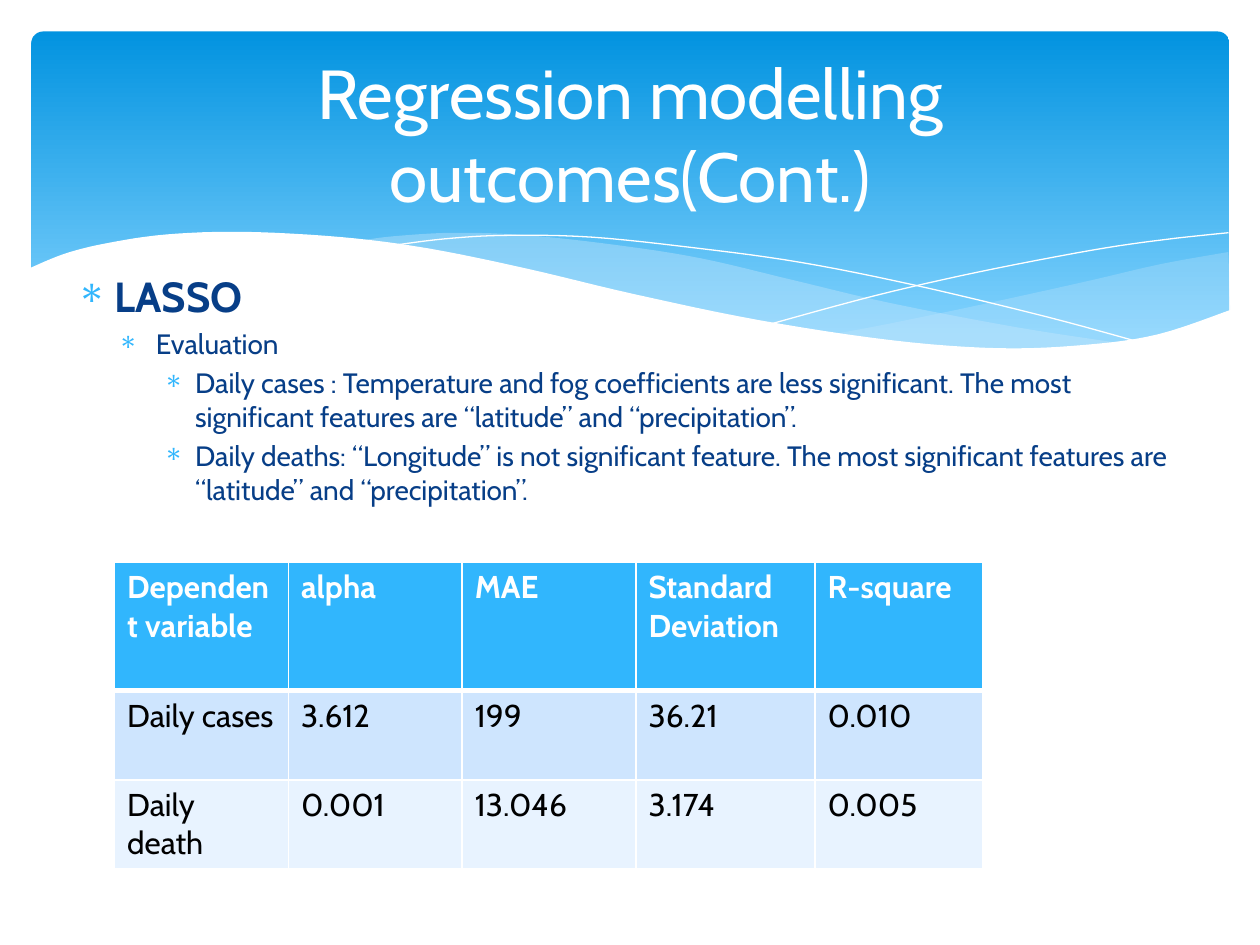
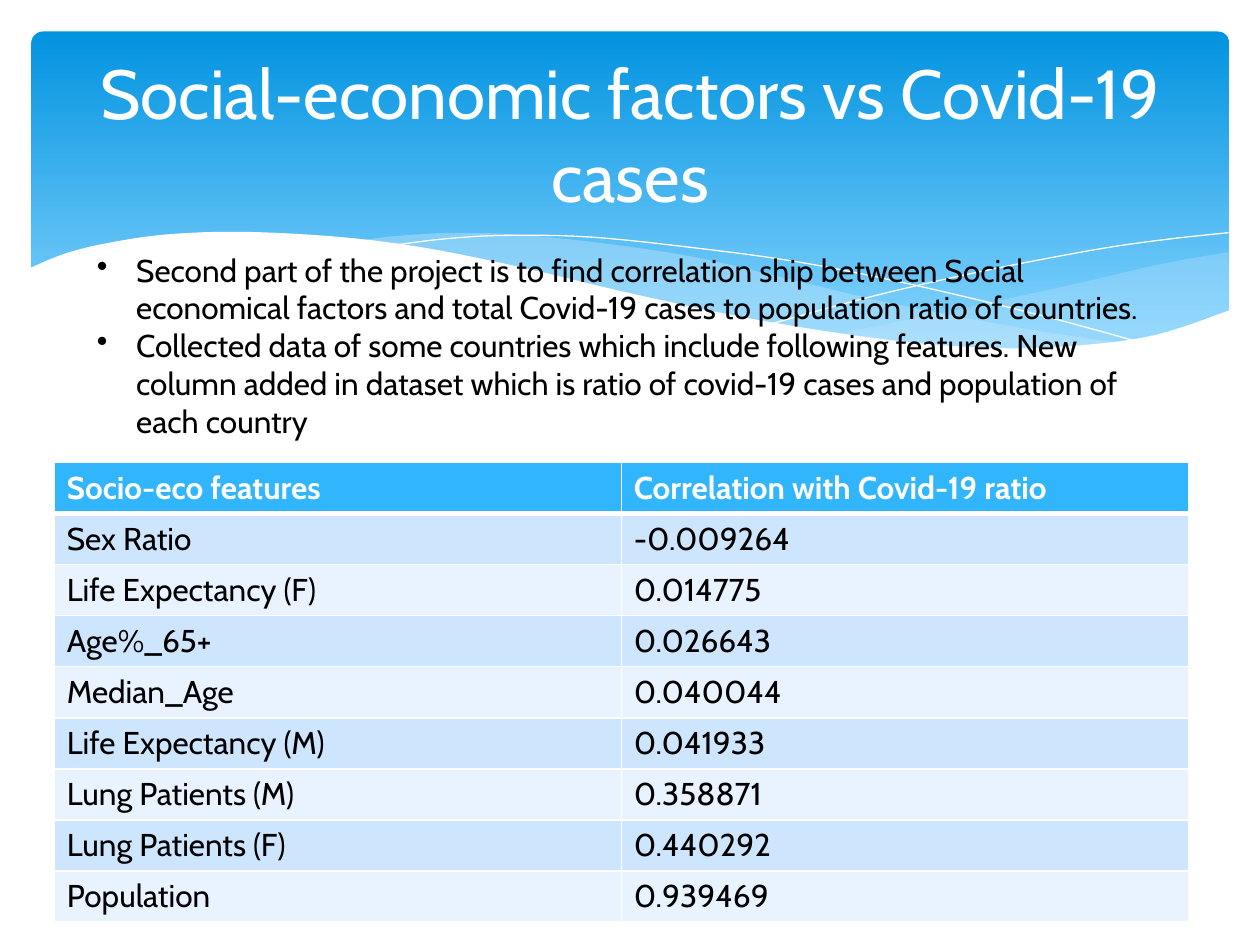
import dataclasses

import pptx
import pptx.dml.color
import pptx.enum.shapes
import pptx.enum.text
import pptx.oxml.ns
import pptx.util
from lxml import etree

Pt = pptx.util.Pt
qn = pptx.oxml.ns.qn


@dataclasses.dataclass(frozen=True)
class Theme:
    font: str = "Cabin"
    white: str = "FFFFFF"
    black: str = "000000"
    navy: str = "073E87"
    accent: str = "31B6FD"
    band_top: str = "0293E0"
    band_bottom: str = "83D3FE"
    wave: str = "C6E7FC"
    rows: tuple = ("CEE5FE", "E8F3FF")
    title_size: float = 39.6
    heading_size: float = 24
    detail_size: float = 16
    text_size: float = 18


THEME = Theme()

# Content: outline rows are (text, size, bold, indent, hanging)
LASSO_TITLE = "Regression modelling outcomes(Cont.)"
LASSO_OUTLINE = [
    ("LASSO", THEME.heading_size, True, 21.6, 21.6),
    ("Evaluation", THEME.detail_size, False, 45.36, 21.6),
    ("Daily cases : Temperature and fog coefficients are less significant. The most "
     "significant features are “latitude” and “precipitation”.",
     THEME.detail_size, False, 67.68, 18),
    ("Daily deaths: “Longitude” is not significant feature. The most significant "
     "features are “latitude” and “precipitation”.",
     THEME.detail_size, False, 67.68, 18),
]
LASSO_SCORES = [
    ("Dependent variable", "alpha", "MAE", "Standard Deviation", "R-square"),
    ("Daily cases", "3.612", "199", "36.21", "0.010"),
    ("Daily death", "0.001", "13.046", "3.174", "0.005"),
]
FACTORS_TITLE = "Social-economic factors vs Covid-19 cases"
FACTORS_OUTLINE = [
    (text, THEME.text_size, False, 22.5, 22.5) for text in (
        "Second part of the project is to find correlation ship between Social economical "
        "factors and total Covid-19 cases to population ratio of countries.",
        "Collected data of some countries which include following features. New column added "
        "in dataset which is ratio of covid-19 cases and population of each country")
]
CORRELATIONS = [
    ("Socio-eco features", "Correlation with Covid-19 ratio"),
    ("Sex Ratio", "-0.009264"),
    ("Life Expectancy (F)", "0.014775"),
    ("Age%_65+", "0.026643"),
    ("Median_Age", "0.040044"),
    ("Life Expectancy (M)", "0.041933"),
    ("Lung Patients (M)", "0.358871"),
    ("Lung Patients (F)", "0.440292"),
    ("Population", "0.939469"),
]

# Wave outlines: each curve is a list of knots in points
RIGHT_WAVE = [
    [(702, 144), (663, 151), (620, 161), (561, 174), (508, 185), (476, 191)],
    [(476, 191), (527, 197), (578, 200), (628, 198), (673, 189), (703, 178)],
]
MIDDLE_WAVE = [
    [(643, 196.5), (581, 187), (508, 173), (453, 160), (400, 147.5), (352, 140),
     (302, 134.5), (260, 133), (225, 135), (206, 137.5)],
    [(206, 137.5), (261, 146), (323, 160), (382, 173), (445, 186), (500, 194),
     (556, 199.5), (596, 200), (643, 196.5)],
]
FALLING_LINE = [
    [(222.5, 140.5), (254, 136.5), (288.5, 134.5), (338, 135.5), (400, 142),
     (458, 150), (523, 163), (598, 181), (653, 196)],
]
RISING_LINE = [
    [(441, 185), (500, 169), (559, 155.5), (624, 143), (665, 137), (702, 133)],
]
FRONT_WAVE = [
    [(703.5, 177), (662, 191), (621, 197), (571, 199), (510, 194.5), (434, 183),
     (362, 168), (301, 153.5), (245, 142), (195, 135.5), (139, 132.5), (95, 134),
     (61, 139), (37, 145), (16.5, 153.5)],
    [(16.5, 237), (703.5, 237)],
]


def rgb(color):
    return pptx.dml.color.RGBColor.from_string(color)


def smooth(knots, steps=6):
    """Points of a Catmull-Rom curve through the knots."""
    if len(knots) == 2:
        return knots
    padded = [knots[0], *knots, knots[-1]]
    points = []
    for a, b, c, d in zip(padded, padded[1:], padded[2:], padded[3:]):
        for step in range(steps):
            t = step / steps
            points.append(tuple(
                q + t / 2 * (r - p + t * (2 * p - 5 * q + 4 * r - s
                                          + t * (3 * (q - r) + s - p)))
                for p, q, r, s in zip(a, b, c, d)))
    return points + [knots[-1]]


def add_wave(page, curves, fill=None, alpha=100):
    """A filled, closed outline, or an open white hairline when there is no fill."""
    points = [(Pt(x), Pt(y)) for curve in curves for x, y in smooth(curve)]
    builder = page.shapes.build_freeform(*points[0])
    builder.add_line_segments(points[1:], close=fill is not None)
    wave = builder.convert_to_shape()
    wave.shadow.inherit = False
    if fill is None:
        wave.fill.background()
        wave.line.color.rgb = rgb(THEME.white)
        wave.line.width = Pt(0)
        return
    wave.line.fill.background()
    wave.fill.solid()
    wave.fill.fore_color.rgb = rgb(fill)
    if alpha < 100:
        color = wave._element.spPr.find(qn("a:solidFill")).find(qn("a:srgbClr"))
        etree.SubElement(color, qn("a:alpha"), val=str(alpha * 1000))


def add_header(page):
    band = page.shapes.add_shape(pptx.enum.shapes.MSO_SHAPE.ROUNDED_RECTANGLE,
                                 Pt(18), Pt(18), Pt(684.5), Pt(194.5))
    band.adjustments[0] = 0.034
    band.shadow.inherit = False
    band.line.fill.background()
    band.fill.gradient()
    band.fill.gradient_angle = 270
    for stop, position, color in zip(band.fill.gradient_stops, (0, 0.9),
                                     (THEME.band_top, THEME.band_bottom)):
        stop.position = position
        stop.color.rgb = rgb(color)
    add_wave(page, RIGHT_WAVE, THEME.wave, 29)
    add_wave(page, MIDDLE_WAVE, THEME.wave, 40)
    add_wave(page, FALLING_LINE)
    add_wave(page, RISING_LINE)
    add_wave(page, FRONT_WAVE, THEME.white)


def style_runs(para, size, color, bold=False):
    for span in para.runs:
        span.font.name = THEME.font
        span.font.size = Pt(size)
        span.font.bold = bold
        span.font.color.rgb = rgb(color)


def add_box(page, left, top, width, height):
    box = page.shapes.add_textbox(Pt(left), Pt(top), Pt(width), Pt(height))
    box.text_frame.word_wrap = True
    return box.text_frame


def add_title(page, title):
    frame = add_box(page, 36, 26.64, 648, 98.64)
    frame.vertical_anchor = pptx.enum.text.MSO_ANCHOR.MIDDLE
    frame.text = title
    para = frame.paragraphs[0]
    para.alignment = pptx.enum.text.PP_ALIGN.CENTER
    style_runs(para, THEME.title_size, THEME.white)


def add_outline(page, place, outline, bullet, color, bullet_color, spacing=0):
    """Bulleted paragraphs; spacing is the gap above each as a share of its size."""
    frame = add_box(page, *place)
    frame.text = "\n".join(entry[0] for entry in outline)
    for para, (_, size, bold, indent, hanging) in zip(frame.paragraphs, outline):
        style_runs(para, size, color, bold)
        para.space_before = Pt(size * spacing)
        properties = para._p.get_or_add_pPr()
        properties.set("marL", str(Pt(indent)))
        properties.set("indent", str(-Pt(hanging)))
        tint = etree.SubElement(properties, qn("a:buClr"))
        etree.SubElement(tint, qn("a:srgbClr"), val=bullet_color)
        etree.SubElement(properties, qn("a:buChar"), char=bullet)


def set_borders(cell, bottom):
    properties = cell._tc.get_or_add_tcPr()
    sides = (("a:lnL", 1), ("a:lnR", 1), ("a:lnT", 1), ("a:lnB", bottom))
    for index, (side, width) in enumerate(sides):
        border = etree.Element(qn(side), w=str(Pt(width)))
        fill = etree.SubElement(border, qn("a:solidFill"))
        etree.SubElement(fill, qn("a:srgbClr"), val=THEME.white)
        properties.insert(index, border)


def add_grid(page, left, top, widths, heights, rows):
    grid = page.shapes.add_table(len(rows), len(widths), Pt(left), Pt(top),
                                 Pt(sum(widths)), Pt(sum(heights))).table
    for column, width in zip(grid.columns, widths):
        column.width = Pt(width)
    for number, (row, height) in enumerate(zip(rows, heights)):
        grid.rows[number].height = Pt(height)
        header = number == 0
        for position, text in enumerate(row):
            cell = grid.cell(number, position)
            cell.text_frame.text = text
            style_runs(cell.text_frame.paragraphs[0], THEME.text_size,
                       THEME.white if header else THEME.black, header)
            cell.fill.solid()
            cell.fill.fore_color.rgb = rgb(
                THEME.accent if header else THEME.rows[(number - 1) % 2])
            set_borders(cell, 3 if header else 1)


def add_page(deck):
    page = deck.slides.add_slide(deck.slide_layouts[6])
    add_header(page)
    return page


def main():
    deck = pptx.Presentation()
    deck.slide_width, deck.slide_height = Pt(720), Pt(540)

    lasso = add_page(deck)
    add_outline(lasso, (36.72, 151.2, 640.8, 357.12), LASSO_OUTLINE, "∗",
                THEME.navy, THEME.accent, spacing=0.2)
    add_title(lasso, LASSO_TITLE)
    add_grid(lasso, 65.5, 321.1, [99.3, 99.3, 99.3, 102.4, 95.6],
             [73.4, 51.1, 51.1], LASSO_SCORES)

    factors = add_page(deck)
    add_grid(factors, 31, 264.2, [324] * 2, [29.2] * len(CORRELATIONS), CORRELATIONS)
    add_title(factors, FACTORS_TITLE)
    add_outline(factors, (48.24, 139.68, 623.52, 116.64), FACTORS_OUTLINE, "•",
                THEME.black, THEME.black)

    deck.save("out.pptx")


if __name__ == "__main__":
    main()
